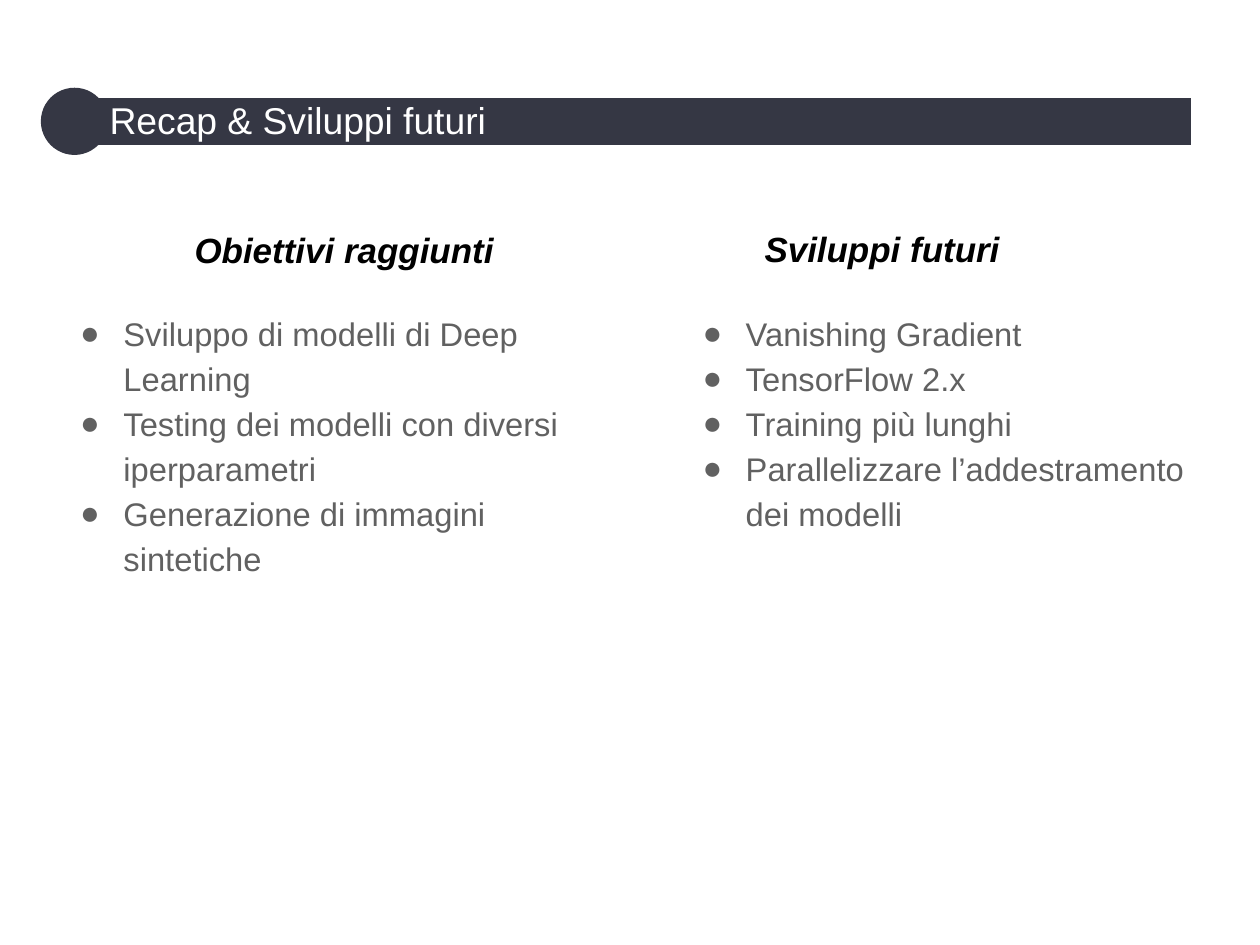
from dataclasses import dataclass

from lxml.etree import SubElement
from pptx import Presentation
from pptx.dml.color import RGBColor
from pptx.enum.shapes import MSO_SHAPE
from pptx.enum.text import MSO_ANCHOR, MSO_AUTO_SIZE
from pptx.oxml.ns import qn
from pptx.shapes.autoshape import Shape
from pptx.slide import Slide
from pptx.text.text import Font, TextFrame
from pptx.util import Pt

DARK, WHITE, GREY, BLACK = "353744", "FFFFFF", "616161", "000000"


@dataclass
class Box:
    left: float
    top: float
    width: float
    height: float

    def place(self) -> tuple[Pt, Pt, Pt, Pt]:
        return Pt(self.left), Pt(self.top), Pt(self.width), Pt(self.height)


@dataclass
class Column:
    title: str
    head: Box
    body: Box
    items: list[str]


COLUMNS = [
    Column("Obiettivi raggiunti", Box(76.3, 94.2, 144, 25.2),
           Box(18.6, 124.6, 236.2, 178),
           ["Sviluppo di modelli di Deep Learning",
            "Testing dei modelli con diversi iperparametri",
            "Generazione di immagini sintetiche"]),
    Column("Sviluppi futuri", Box(320.6, 94, 116, 25.2),
           Box(285.3, 124.6, 236.2, 104.4),
           ["Vanishing Gradient", "TensorFlow 2.x", "Training più lunghi",
            "Parallelizzare l’addestramento dei modelli"]),
]


def color(value: str) -> RGBColor:
    return RGBColor.from_string(value)


def style(font: Font, size: float, tint: str, strong: bool = False) -> None:
    font.name = "Arial"
    font.size = Pt(size)
    font.color.rgb = color(tint)
    font.bold = font.italic = strong


def inset(frame: TextFrame, left: float, rest: float) -> None:
    frame.margin_left = Pt(left)
    frame.margin_top = frame.margin_right = frame.margin_bottom = Pt(rest)


def add_solid(slide: Slide, kind: MSO_SHAPE, box: Box, edge: str) -> Shape:
    shape = slide.shapes.add_shape(kind, *box.place())
    shape.shadow.inherit = False
    shape.fill.solid()
    shape.fill.fore_color.rgb = color(DARK)
    shape.line.color.rgb = color(edge)
    shape.line.width = Pt(2)
    return shape


def add_banner(slide: Slide, title: str) -> None:
    bar = add_solid(slide, MSO_SHAPE.RECTANGLE, Box(31.8, 41.2, 479.8, 22.2), WHITE)
    frame = bar.text_frame
    frame.text = title
    frame.word_wrap = True
    frame.vertical_anchor = MSO_ANCHOR.MIDDLE
    inset(frame, 15.2, 3)
    line = frame.paragraphs[0]
    line.line_spacing = 0.9
    line.alignment = 1
    style(line.runs[0].font, 16, WHITE)
    add_solid(slide, MSO_SHAPE.OVAL, Box(18.5, 38.6, 26.8, 26.8), DARK)


def add_column(slide: Slide, column: Column) -> None:
    body = slide.shapes.add_textbox(*column.body.place()).text_frame
    body.text = "\n".join(column.items)
    body.word_wrap = True
    inset(body, 7.2, 7.2)
    for item in body.paragraphs:
        item.line_spacing = 1.15
        props = item._p.get_or_add_pPr()
        props.set("marL", str(Pt(27.2)))
        props.set("indent", str(Pt(-18.5)))
        tint = SubElement(props, qn("a:buClr"))
        SubElement(tint, qn("a:srgbClr"), val=GREY)
        SubElement(props, qn("a:buFont"), typeface="Arial")
        SubElement(props, qn("a:buChar"), char="●")
        style(item.runs[0].font, 14, GREY)

    head = slide.shapes.add_textbox(*column.head.place()).text_frame
    head.text = column.title
    head.word_wrap = False
    head.auto_size = MSO_AUTO_SIZE.SHAPE_TO_FIT_TEXT
    style(head.paragraphs[0].runs[0].font, 15, BLACK, strong=True)


def main() -> None:
    deck = Presentation()
    deck.slide_width, deck.slide_height = Pt(540), Pt(405)
    slide = deck.slides.add_slide(deck.slide_layouts[6])
    add_banner(slide, "Recap & Sviluppi futuri")
    for column in COLUMNS:
        add_column(slide, column)
    deck.save("out.pptx")


if __name__ == "__main__":
    main()
